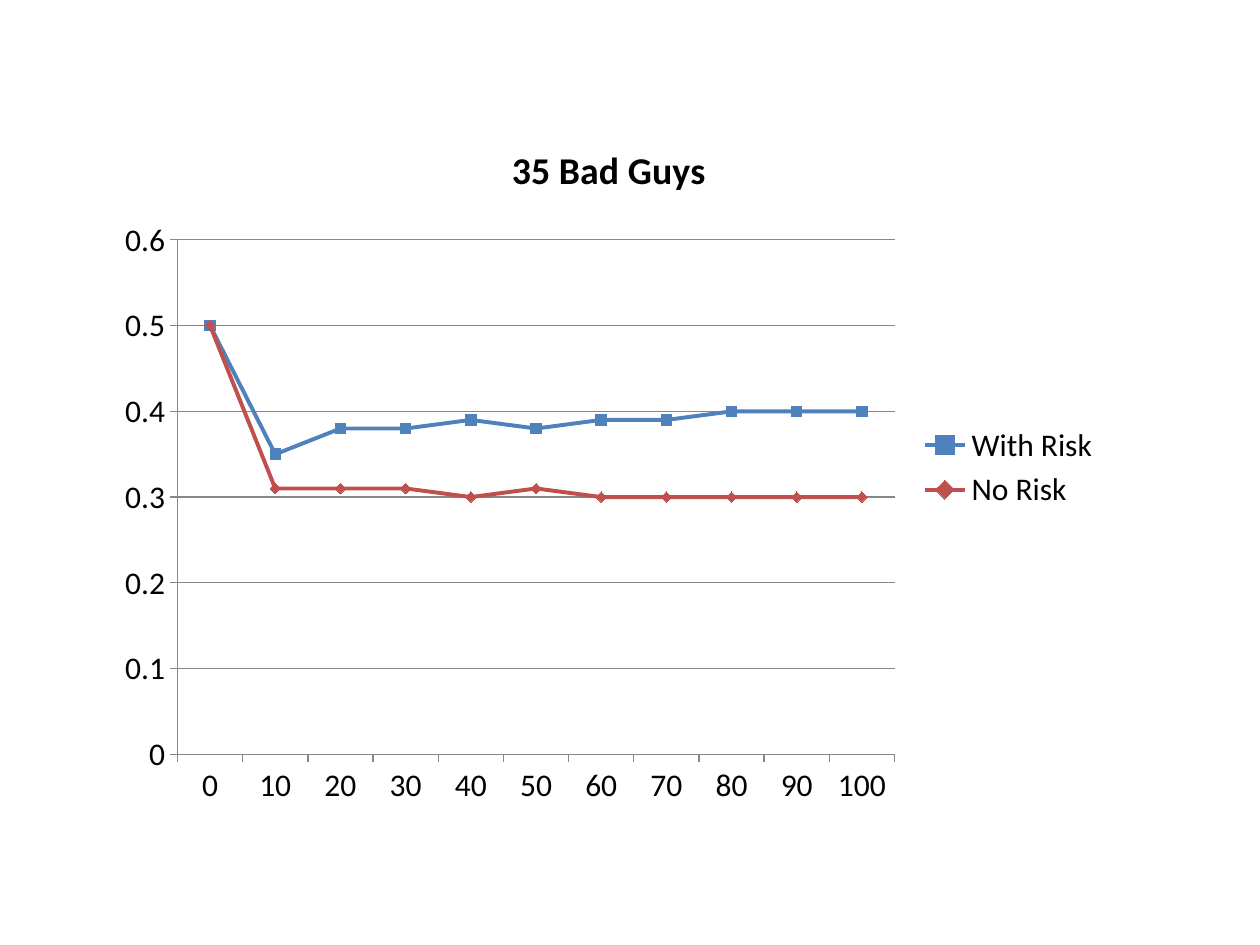
from pptx import Presentation
from pptx.chart.data import CategoryChartData
from pptx.dml.color import RGBColor
from pptx.enum.chart import XL_CHART_TYPE, XL_LEGEND_POSITION, XL_MARKER_STYLE, XL_TICK_MARK
from pptx.util import Pt

PX = 914400 // 126
TITLE = "35 Bad Guys"
CATS = [str(n) for n in range(0, 101, 10)]
LINES = [
    ("With Risk", "4F81BD", XL_MARKER_STYLE.SQUARE,
     [0.5, 0.35, 0.38, 0.38, 0.39, 0.38, 0.39, 0.39, 0.4, 0.4, 0.4]),
    ("No Risk", "C0504D", XL_MARKER_STYLE.DIAMOND,
     [0.5, 0.31, 0.31, 0.31, 0.3, 0.31, 0.3, 0.3, 0.3, 0.3, 0.3]),
]
FRAME = (105, 116, 1008, 703)


def paint(part, color):
    part.solid()
    part.fore_color.rgb = RGBColor.from_string(color)


def stroke(line, color, width):
    paint(line.fill, color)
    line.width = Pt(width)


def style(font, size, bold=False):
    font.name, font.size, font.bold = "Calibri", Pt(size), bold
    paint(font.fill, "000000")


def main():
    """Build the slide with its line chart."""
    deck = Presentation()
    deck.slide_width, deck.slide_height = 1260 * PX, 945 * PX
    slide = deck.slides.add_slide(deck.slide_layouts[6])

    data = CategoryChartData()
    data.categories = CATS
    for name, _, _, vals in LINES:
        data.add_series(name, vals)
    box = [n * PX for n in FRAME]
    chart = slide.shapes.add_chart(XL_CHART_TYPE.LINE_MARKERS, *box, data).chart
    style(chart.font, 18)

    chart.has_title = True
    chart.chart_title.include_in_layout = False
    frame = chart.chart_title.text_frame
    frame.text = TITLE
    style(frame.paragraphs[0].font, 21.6, True)

    chart.has_legend = True
    chart.legend.position = XL_LEGEND_POSITION.RIGHT
    chart.legend.include_in_layout = False

    for axis in (chart.category_axis, chart.value_axis):
        axis.major_tick_mark = XL_TICK_MARK.OUTSIDE
        axis.minor_tick_mark = XL_TICK_MARK.NONE
        stroke(axis.format.line, "868686", 0.75)
    scale = chart.value_axis
    scale.minimum_scale, scale.maximum_scale, scale.major_unit = 0, 0.6, 0.1
    scale.has_major_gridlines = True
    stroke(scale.major_gridlines.format.line, "868686", 0.75)

    plot = chart.plots[0]
    plot.vary_by_categories = False
    for series, (_, color, mark, _) in zip(plot.series, LINES):
        series.smooth = False
        stroke(series.format.line, color, 2.25)
        series.marker.style, series.marker.size = mark, 6
        paint(series.marker.format.fill, color)
        stroke(series.marker.format.line, color, 0.75)

    deck.save("out.pptx")


if __name__ == "__main__":
    main()
